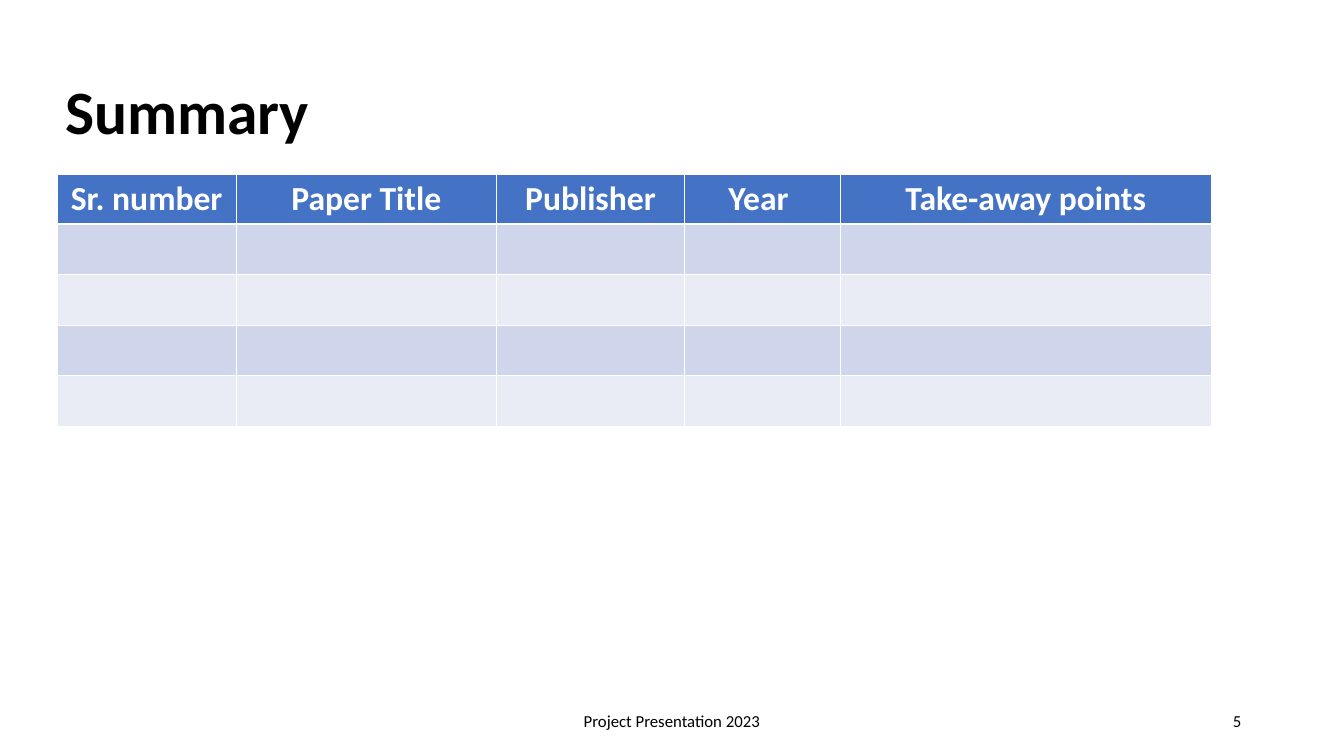
import lxml.etree
import pptx
import pptx.dml.color
import pptx.enum.text
import pptx.oxml.ns
import pptx.util

Pt = pptx.util.Pt
RGBColor = pptx.dml.color.RGBColor
ALIGN = pptx.enum.text.PP_ALIGN
MIDDLE = pptx.enum.text.MSO_ANCHOR.MIDDLE
qn = pptx.oxml.ns.qn

BLACK = RGBColor(0x00, 0x00, 0x00)
WHITE = RGBColor(0xFF, 0xFF, 0xFF)
HEADER_BLUE = RGBColor(0x44, 0x72, 0xC4)
BANDS = (RGBColor(0xCF, 0xD5, 0xEA), RGBColor(0xE9, 0xEB, 0xF5))

TITLE_FORMAT = {"name": "Calibri", "size": Pt(44), "bold": True}
HEADER_FORMAT = {"name": "Calibri", "size": Pt(24), "bold": True}
FOOTER_FORMAT = {"name": "Calibri", "size": Pt(12), "bold": False}

# Header text and column width in points
COLUMNS = (
    ("Sr. number", 128.2),
    ("Paper Title", 185.8),
    ("Publisher", 134.6),
    ("Year ", 110.9),
    ("Take-away points", 265.7),
)
BODY_ROWS = 4
ROW_HEIGHT = 36
THIN, THICK = 0.45, 1.47


def write(p, text, fmt, color, align):
    p.alignment = align
    r = p.add_run()
    r.text = text
    for key, value in fmt.items():
        setattr(r.font, key, value)
    r.font.color.rgb = color


def add_text(slide, box, text, fmt, align, line_spacing=None):
    sp = slide.shapes.add_textbox(*(Pt(v) for v in box))
    tf = sp.text_frame
    tf.word_wrap = True
    tf.vertical_anchor = MIDDLE
    p = tf.paragraphs[0]
    p.line_spacing = line_spacing
    write(p, text, fmt, BLACK, align)


def set_borders(cell, top, bottom):
    tcPr = cell._tc.get_or_add_tcPr()
    widths = {"a:lnL": THIN, "a:lnR": THIN, "a:lnT": top, "a:lnB": bottom}
    for tag, width in widths.items():
        ln = lxml.etree.SubElement(tcPr, qn(tag), w=str(int(Pt(width))))
        fill = lxml.etree.SubElement(ln, qn("a:solidFill"))
        lxml.etree.SubElement(fill, qn("a:srgbClr"), val=str(WHITE))


def add_summary_table(slide, left, top):
    rows = BODY_ROWS + 1
    width = sum(w for _, w in COLUMNS)
    frame = slide.shapes.add_table(rows, len(COLUMNS), Pt(left), Pt(top),
                                   Pt(width), Pt(rows * ROW_HEIGHT))
    table = frame.table
    for row in table.rows:
        row.height = Pt(ROW_HEIGHT)
    for j, (heading, col_width) in enumerate(COLUMNS):
        table.columns[j].width = Pt(col_width)
        write(table.cell(0, j).text_frame.paragraphs[0], heading,
              HEADER_FORMAT, WHITE, ALIGN.CENTER)
        for i in range(rows):
            cell = table.cell(i, j)
            # A thicker line separates the header from the body
            set_borders(cell, THICK if i == 1 else THIN,
                        THICK if i == 0 else THIN)
            cell.fill.solid()
            cell.fill.fore_color.rgb = BANDS[(i - 1) % 2] if i else HEADER_BLUE


def main():
    prs = pptx.Presentation()
    prs.slide_width, prs.slide_height = Pt(960.4), Pt(540)
    slide = prs.slides.add_slide(prs.slide_layouts[6])

    # Title
    add_text(slide, (39.6, 29.5, 828, 104.4), "Summary", TITLE_FORMAT,
             ALIGN.LEFT, 0.9)

    # Table of papers
    add_summary_table(slide, 40.7, 124.2)

    # Footer and page number
    add_text(slide, (318.2, 500.4, 324, 28.8), "Project Presentation 2023",
             FOOTER_FORMAT, ALIGN.CENTER)
    add_text(slide, (678.2, 500.4, 216, 28.8), "5", FOOTER_FORMAT, ALIGN.RIGHT)

    prs.save("out.pptx")


if __name__ == "__main__":
    main()
